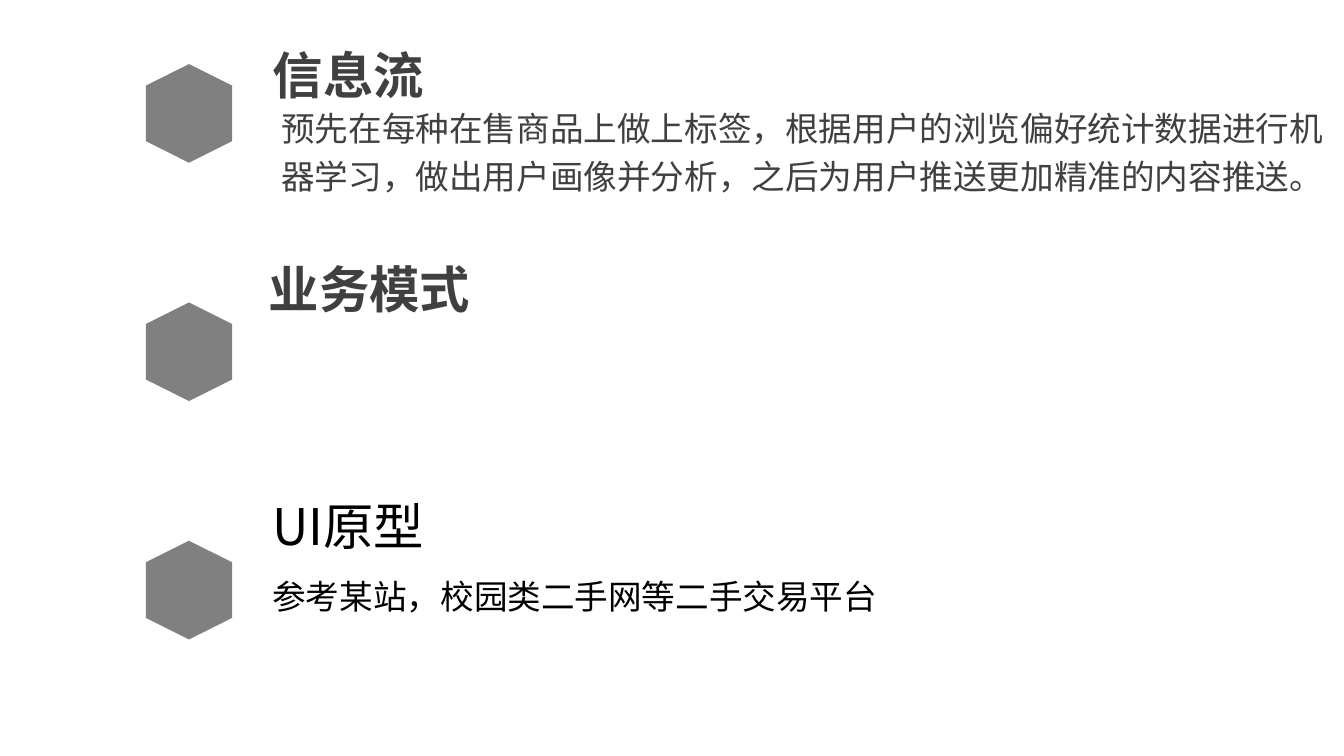
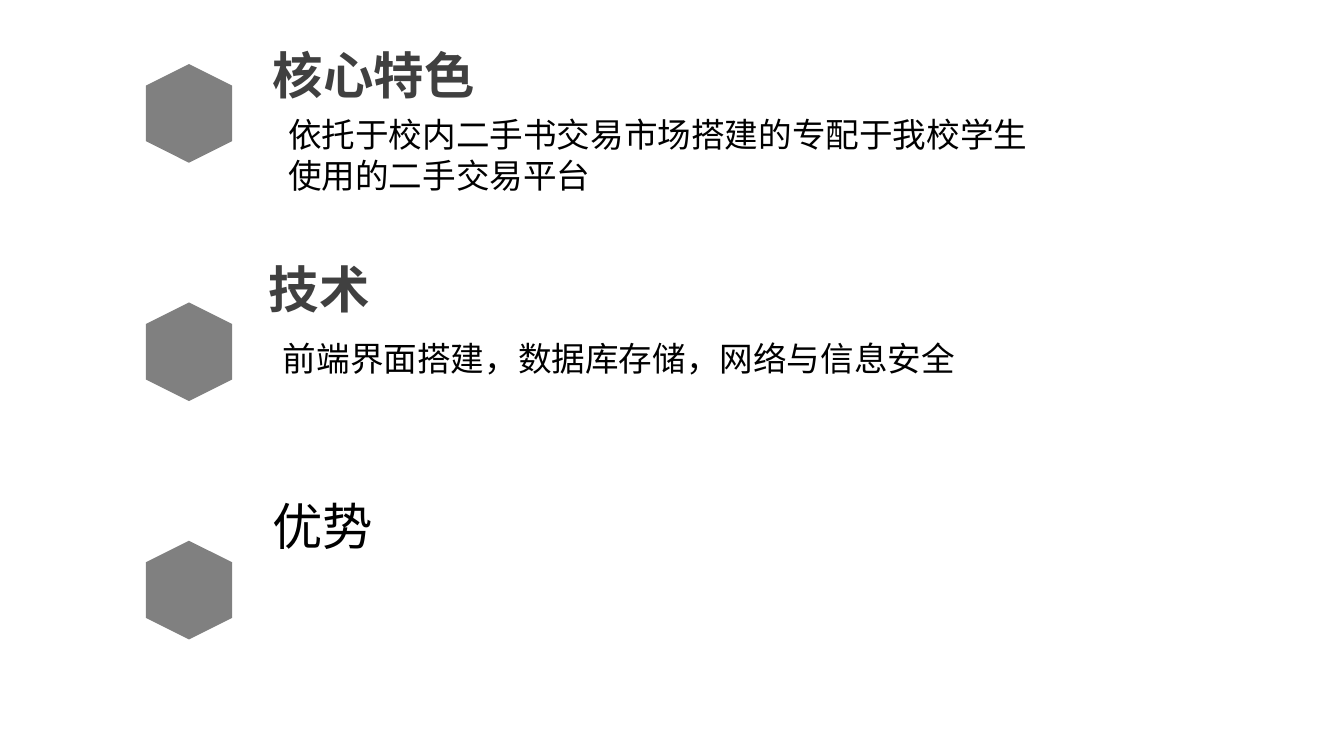
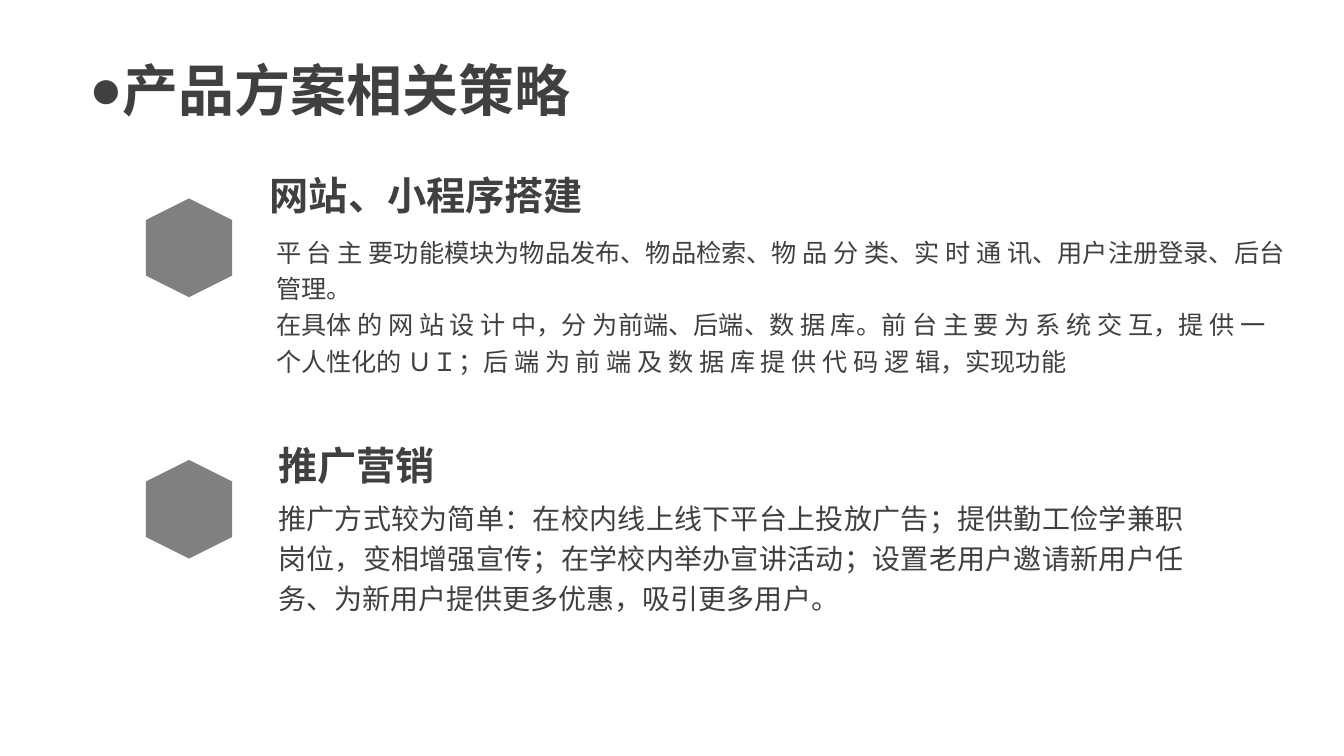
"""Builds three slides on the plan for a campus second-hand trading platform."""
from dataclasses import dataclass, replace

from lxml import etree
from pptx import Presentation
from pptx import util as u
from pptx.dml import color
from pptx.enum import shapes, text
from pptx.oxml import ns

PX = 9525
FONT = "Noto Sans CJK SC"
COLOURS = {"ink": "404040", "black": "000000", "marker": "808080"}
TITLE_ONLY, BLANK = 5, 6
MARKER_LEFT, MARKER_WIDTH, MARKER_HEIGHT = 133, 94, 82
THREE_ROWS = [67 + 227 * row for row in range(3)]
TWO_ROWS = [195, 444]


@dataclass(frozen=True)
class Style:
    """Holds the look of one kind of text."""
    size: int
    colour: str = "ink"
    bold: bool = False
    flush: bool = True
    spacing: float = 1.0
    align: text.PP_ALIGN = text.PP_ALIGN.LEFT
    grow: bool = True


HEADING = Style(36, bold=True, grow=False)
SMALL_HEADING = replace(HEADING, size=28)
PLAIN_HEADING = Style(36, "black", flush=False)
PLAIN_BODY = replace(PLAIN_HEADING, size=24)
BODY = Style(24, spacing=1.2)
DETAIL = replace(BODY, size=18)
JUSTIFIED = replace(BODY, size=20, align=text.PP_ALIGN.JUSTIFY)
TITLE = Style(40, bold=True, flush=False, align=text.PP_ALIGN.CENTER)


def px(length):
    """Turns px into EMU."""
    return u.Emu(length * PX)


def rgb(name):
    """Looks up a named colour."""
    return color.RGBColor.from_string(COLOURS[name])


def add_span(para, words, style):
    """Adds one run with its font for Latin and East Asian text."""
    span = para.add_run()
    span.text = words
    font = span.font
    font.size, font.bold, font.name = u.Pt(style.size), style.bold, FONT
    font.color.rgb = rgb(style.colour)
    etree.SubElement(span._r.get_or_add_rPr(), ns.qn("a:ea"), typeface=FONT)


def write_text(box, paragraphs, style):
    """Fills a text box or placeholder with styled paragraphs."""
    frame = box.text_frame
    frame.word_wrap = True
    frame.vertical_anchor = text.MSO_ANCHOR.TOP
    frame.auto_size = (text.MSO_AUTO_SIZE.SHAPE_TO_FIT_TEXT if style.grow
                       else text.MSO_AUTO_SIZE.NONE)
    if style.flush:
        frame.margin_left = frame.margin_right = 0
        frame.margin_top = frame.margin_bottom = 0
    for index, words in enumerate(paragraphs):
        para = frame.add_paragraph() if index else frame.paragraphs[0]
        para.alignment = style.align
        para.line_spacing = style.spacing
        add_span(para, words, style)


def add_text(page, place, style, *paragraphs):
    """Adds a text box at left, top, width, height."""
    box = page.shapes.add_textbox(*map(px, place))
    write_text(box, paragraphs, style)


def add_bullet(para, symbol, indent):
    """Gives a paragraph a bullet with a hanging indent."""
    props = para._p.get_or_add_pPr()
    props.set("marL", str(px(indent)))
    props.set("indent", str(px(-indent)))
    etree.SubElement(props, ns.qn("a:buFont"), typeface="Arial")
    etree.SubElement(props, ns.qn("a:buChar"), char=symbol)


def set_title(page, place, words):
    """Moves and fills the title placeholder as a bulleted line."""
    title = page.shapes.title
    title.left, title.top, title.width, title.height = map(px, place)
    write_text(title, [words], TITLE)
    title.text_frame.word_wrap = False
    add_bullet(title.text_frame.paragraphs[0], "●", 30)


def add_markers(page, tops):
    """Adds a column of upright hexagons."""
    for top in tops:
        marker = page.shapes.add_shape(
            shapes.MSO_SHAPE.HEXAGON,
            *map(px, (MARKER_LEFT, top, MARKER_WIDTH, MARKER_HEIGHT)))
        marker.rotation = 90
        marker.shadow.inherit = False
        marker.fill.solid()
        marker.fill.fore_color.rgb = rgb("marker")
        marker.line.fill.background()


def add_three_topics(deck, *headings):
    """Adds a page with three markers and their headings."""
    page = deck.slides.add_slide(deck.slide_layouts[BLANK])
    add_markers(page, THREE_ROWS)
    places = [(260, 42, 528, 35), (256, 246, 293, 35), (250, 467, 390, 68)]
    styles = [HEADING, HEADING, PLAIN_HEADING]
    for place, style, heading in zip(places, styles, headings):
        add_text(page, place, style, heading)
    return page


def add_product_page(deck):
    """Adds the page on the feed, the business model and the prototype."""
    page = add_three_topics(deck, "信息流", "业务模式", "UI原型")
    add_text(page, (268, 95, 1004, 93), BODY,
             "预先在每种在售商品上做上标签，根据用户的浏览偏好统计数据进行机器学习，"
             "做出用户画像并分析，之后为用户推送更加精准的内容推送。")
    add_text(page, (250, 544, 829, 48), PLAIN_BODY,
             "参考某站，校园类二手网等二手交易平台")


def add_feature_page(deck):
    """Adds the page on features, technology and strengths."""
    page = add_three_topics(deck, "核心特色", "技术", "优势")
    add_text(page, (265, 104, 744, 87), PLAIN_BODY,
             "依托于校内二手书交易市场搭建的专配于我校学生使用的二手交易平台")
    add_text(page, (260, 317, 750, 48), PLAIN_BODY,
             "前端界面搭建，数据库存储，网络与信息安全")


def add_strategy_page(deck):
    """Adds the page on building and promoting the product."""
    page = deck.slides.add_slide(deck.slide_layouts[TITLE_ONLY])
    set_title(page, (70, 48, 488, 74), "产品方案相关策略")
    add_markers(page, TWO_ROWS)
    add_text(page, (257, 163, 335, 35), SMALL_HEADING, "网站、小程序搭建")
    add_text(page, (263, 220, 969, 139), DETAIL,
             "平 台 主 要功能模块为物品发布、物品检索、物 品 分 类、实 时 通 讯、"
             "用户注册登录、后台管理。",
             "在具体 的 网 站 设 计 中，分 为前端、后端、数 据 库。"
             "前 台 主 要 为 系 统 交 互，提 供 一 个人性化的 ＵＩ；"
             "后 端 为 前 端 及 数 据 库 提 供 代 码 逻 辑，实现功能")
    add_text(page, (265, 420, 293, 35), SMALL_HEADING, "推广营销")
    add_text(page, (265, 471, 862, 116), JUSTIFIED,
             "推广方式较为简单：在校内线上线下平台上投放广告；提供勤工俭学兼职岗位，"
             "变相增强宣传；在学校内举办宣讲活动；设置老用户邀请新用户任务、"
             "为新用户提供更多优惠，吸引更多用户。")


def main():
    """Builds and saves the deck."""
    deck = Presentation()
    deck.slide_width, deck.slide_height = px(1280), px(720)
    add_product_page(deck)
    add_feature_page(deck)
    add_strategy_page(deck)
    deck.save("out.pptx")


if __name__ == "__main__":
    main()
